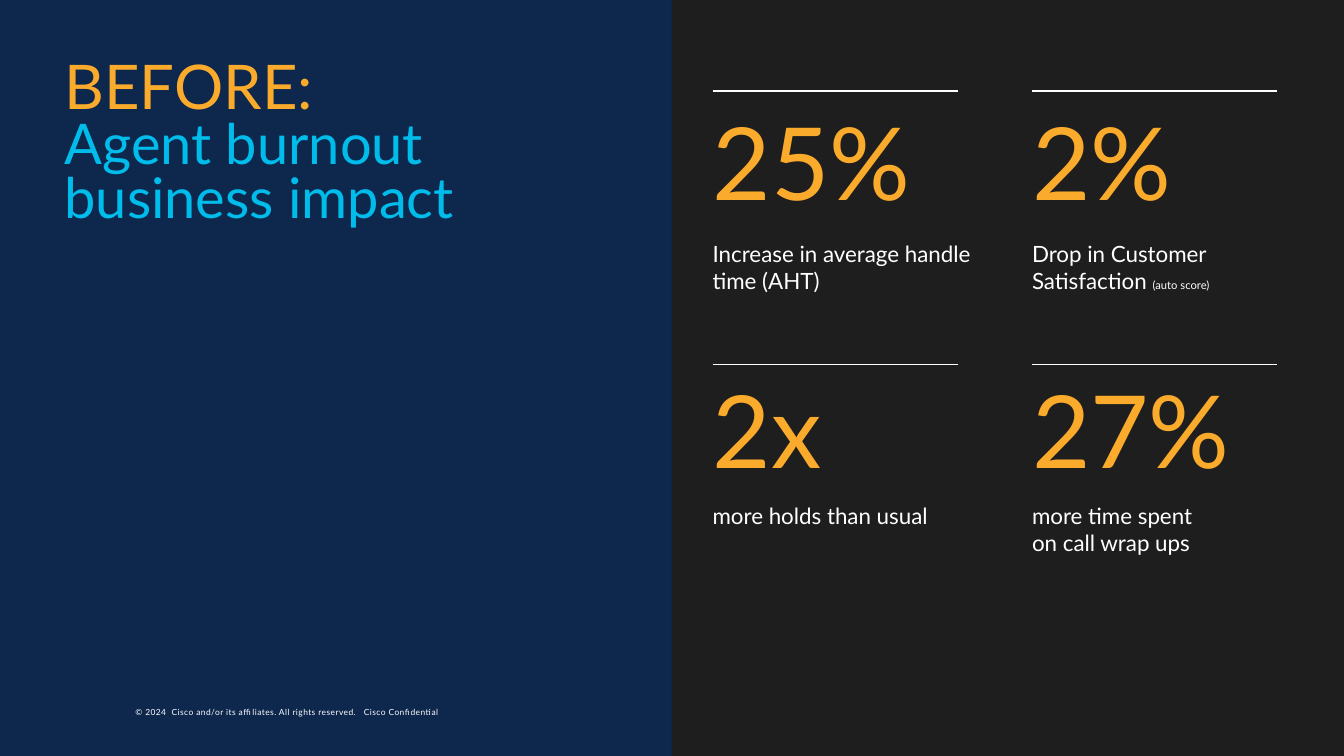
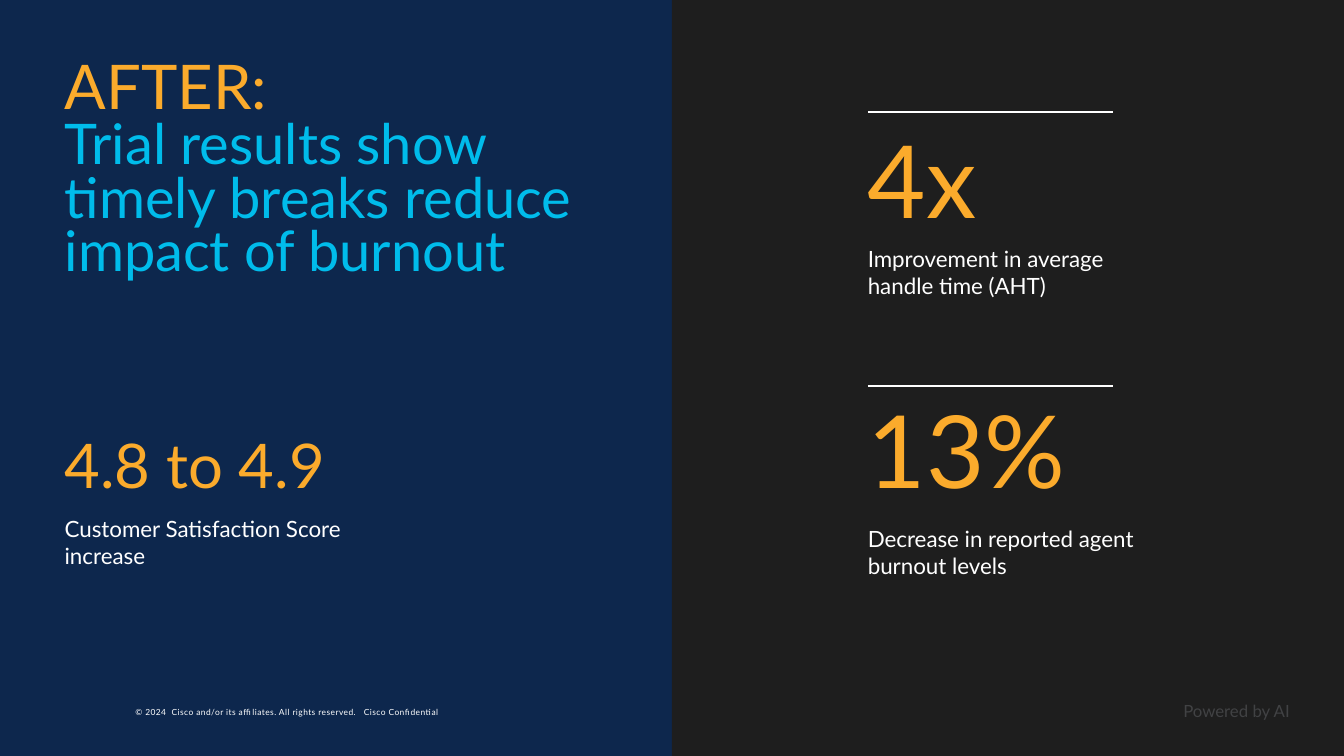
from dataclasses import dataclass

from lxml import etree
from pptx import Presentation
from pptx.dml.color import RGBColor
from pptx.enum import shapes, text
from pptx.oxml import ns
from pptx.util import Cm, Pt


@dataclass(frozen=True)
class Style:
    size: float
    color: str
    fade_to: str = ""


@dataclass(frozen=True)
class Theme:
    font: str = "Lato"
    navy: str = "0D274D"
    panel: str = "1E1E1E"
    white: str = "FFFFFF"
    kicker: Style = Style(44, "FBAB2C", "EF7B76")
    heading: Style = Style(40, "00BCEB")
    figure: Style = Style(72, "FBAB2C", "EF7B76")
    label: Style = Style(16, "FFFFFF")
    remark: Style = Style(8, "FFFFFF")
    footer: Style = Style(6, "FFFFFF")
    credit: Style = Style(12, "414244")


@dataclass(frozen=True)
class Row:
    """Heights in cm of the three parts of a statistic."""
    rule: float
    figure: float
    label: float


THEME = Theme()
SLIDE_WIDTH, SLIDE_HEIGHT = 33.87, 19.05
MARGIN = 1.63
RULE_WIDTH, STAT_WIDTH = 6.17, 7.09
COPYRIGHT = ("© 2024  Cisco and/or its affiliates. All rights reserved.   "
             "Cisco Confidential")


def apply_style(font, style):
    font.name = THEME.font
    font.size = Pt(style.size)
    if not style.fade_to:
        font.fill.solid()
        font.fill.fore_color.rgb = RGBColor.from_string(style.color)
        return
    font.fill.gradient()
    font.fill.gradient_angle = 270
    ends = ((0, style.color), (0.97, style.fade_to))
    for stop, (position, color) in zip(font.fill.gradient_stops, ends):
        stop.position = position
        stop.color.rgb = RGBColor.from_string(color)


def set_insets(frame, across=0, down=0):
    frame.margin_left = frame.margin_right = Cm(across)
    frame.margin_top = frame.margin_bottom = Cm(down)


def add_text(slide, left, top, width, height, *lines, space_after=0):
    """Add a text box holding one paragraph per (wording, style) pair."""
    box = slide.shapes.add_textbox(Cm(left), Cm(top), Cm(width), Cm(height))
    frame = box.text_frame
    frame.word_wrap = True
    set_insets(frame)
    for index, (wording, style) in enumerate(lines):
        paragraph = frame.add_paragraph() if index else frame.paragraphs[0]
        paragraph.space_after = Pt(space_after)
        paragraph.add_run().text = wording
        apply_style(paragraph.font, style)
    return frame


def add_panel(slide):
    half = Cm(SLIDE_WIDTH / 2)
    panel = slide.shapes.add_shape(
        shapes.MSO_SHAPE.RECTANGLE, half, 0, half, Cm(SLIDE_HEIGHT))
    panel.shadow.inherit = False
    panel.fill.solid()
    panel.fill.fore_color.rgb = RGBColor.from_string(THEME.panel)
    panel.line.fill.background()


def add_footer(slide):
    frame = add_text(slide, 3.18, 17.7, 12.6, 0.48, (COPYRIGHT, THEME.footer))
    frame.vertical_anchor = text.MSO_ANCHOR.BOTTOM
    set_insets(frame, 0.23, 0.1)
    frame.paragraphs[0].runs[0]._r.get_or_add_rPr().set("spc", "30")


def set_title(slide, kicker, heading, height):
    title = slide.shapes.title
    title.left, title.top = Cm(MARGIN), Cm(1.57)
    title.width, title.height = Cm(13.08), Cm(height)
    frame = title.text_frame
    frame.word_wrap = True
    frame.auto_size = text.MSO_AUTO_SIZE.NONE
    frame.vertical_anchor = text.MSO_ANCHOR.TOP
    set_insets(frame)
    paragraph = frame.paragraphs[0]
    paragraph.alignment = text.PP_ALIGN.LEFT
    paragraph.line_spacing = 0.8
    apply_style(paragraph.font, THEME.heading)
    opening = paragraph.add_run()
    opening.text = kicker
    apply_style(opening.font, THEME.kicker)
    paragraph.add_line_break()
    paragraph.add_run().text = heading


def add_rule(slide, left, top):
    rule = slide.shapes.add_connector(
        shapes.MSO_CONNECTOR.STRAIGHT,
        Cm(left), Cm(top), Cm(left + RULE_WIDTH), Cm(top))
    rule.line.color.rgb = RGBColor.from_string(THEME.white)
    rule.line.width = Pt(1)
    etree.SubElement(rule._element.spPr, ns.qn("a:effectLst"))


def add_stat(slide, left, row, figure, label, label_width=STAT_WIDTH):
    """Add a rule with a large figure and its label; return the label."""
    add_rule(slide, left, row.rule)
    add_text(slide, left, row.figure, STAT_WIDTH, 1.9,
             (figure, THEME.figure), space_after=10)
    return add_text(slide, left, row.label, label_width, 3.89,
                    (label, THEME.label), space_after=10)


def add_slide(deck, kicker, heading, title_height):
    slide = deck.slides.add_slide(deck.slide_layouts.get_by_name("Title Only"))
    add_panel(slide)
    add_footer(slide)
    set_title(slide, kicker, heading, title_height)
    return slide


def build_before(deck):
    slide = add_slide(deck, "BEFORE:", "Agent burnout business impact", 4.78)
    first, second = 17.96, 26.01
    upper, lower = Row(2.29, 2.51, 6.05), Row(9.19, 9.27, 12.65)
    add_stat(slide, first, upper, "25%",
             "Increase in average handle time (AHT)")
    satisfaction = add_stat(slide, second, upper, "2%",
                            "Drop in Customer Satisfaction ")
    remark = satisfaction.paragraphs[0].add_run()
    remark.text = "(auto score)"
    apply_style(remark.font, THEME.remark)
    add_stat(slide, first, lower, "2x", "more holds than usual", 6.25)
    add_stat(slide, second, lower, "27%",
             "more time spent on call wrap ups", 4.72)


def build_after(deck):
    slide = add_slide(
        deck, "AFTER:",
        "Trial results show timely breaks reduce impact of burnout", 6.3)
    add_text(slide, MARGIN, 10.77, STAT_WIDTH, 3.89,
             ("4.8 to 4.9", THEME.kicker),
             ("Customer Satisfaction Score increase", THEME.label),
             space_after=10)
    column = 21.87
    add_stat(slide, column, Row(2.82, 2.97, 6.17), "4x",
             "Improvement in average handle time (AHT)", 6.25)
    add_stat(slide, column, Row(9.73, 9.78, 13.23), "13%",
             "Decrease in reported agent burnout levels")
    add_text(slide, 29.82, 17.65, 3.43, 0.51, ("Powered by AI", THEME.credit))


def main():
    deck = Presentation()
    deck.slide_width, deck.slide_height = Cm(SLIDE_WIDTH), Cm(SLIDE_HEIGHT)
    backdrop = deck.slide_master.background.fill
    backdrop.solid()
    backdrop.fore_color.rgb = RGBColor.from_string(THEME.navy)
    build_before(deck)
    build_after(deck)
    deck.save("out.pptx")


if __name__ == "__main__":
    main()
